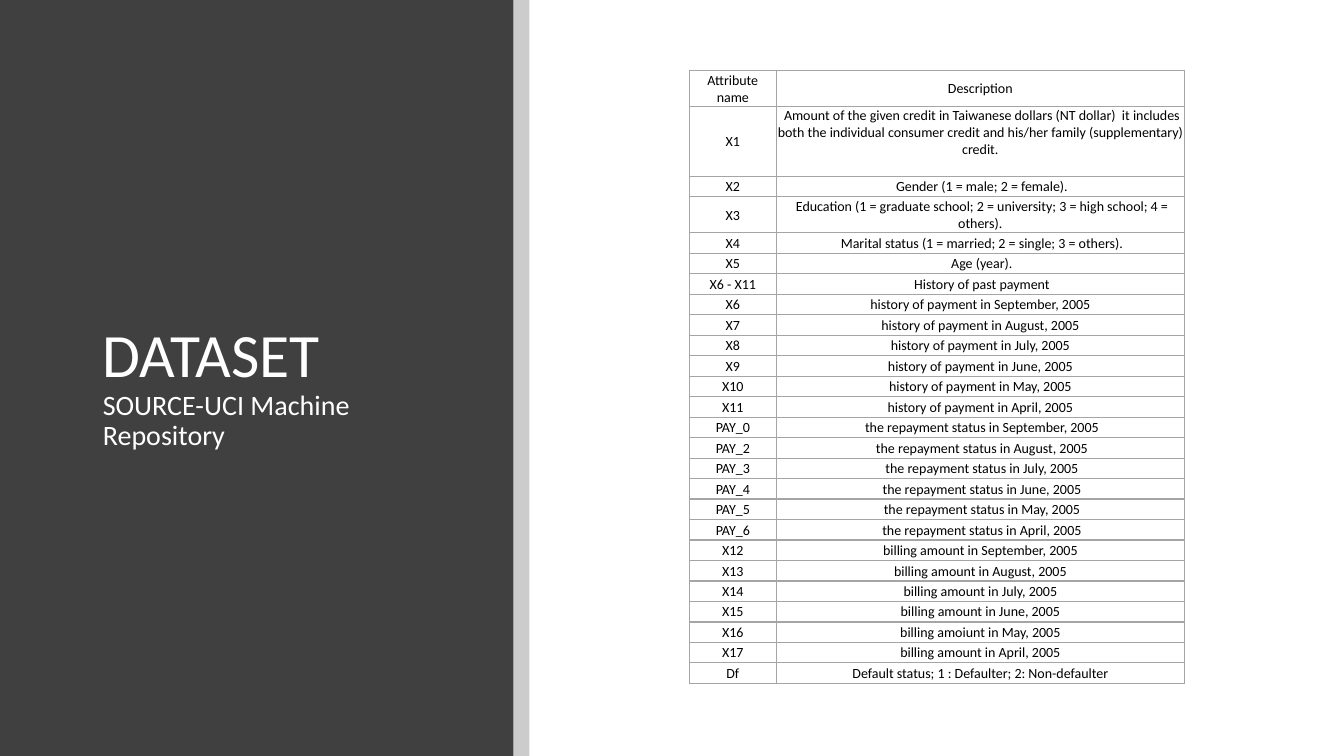
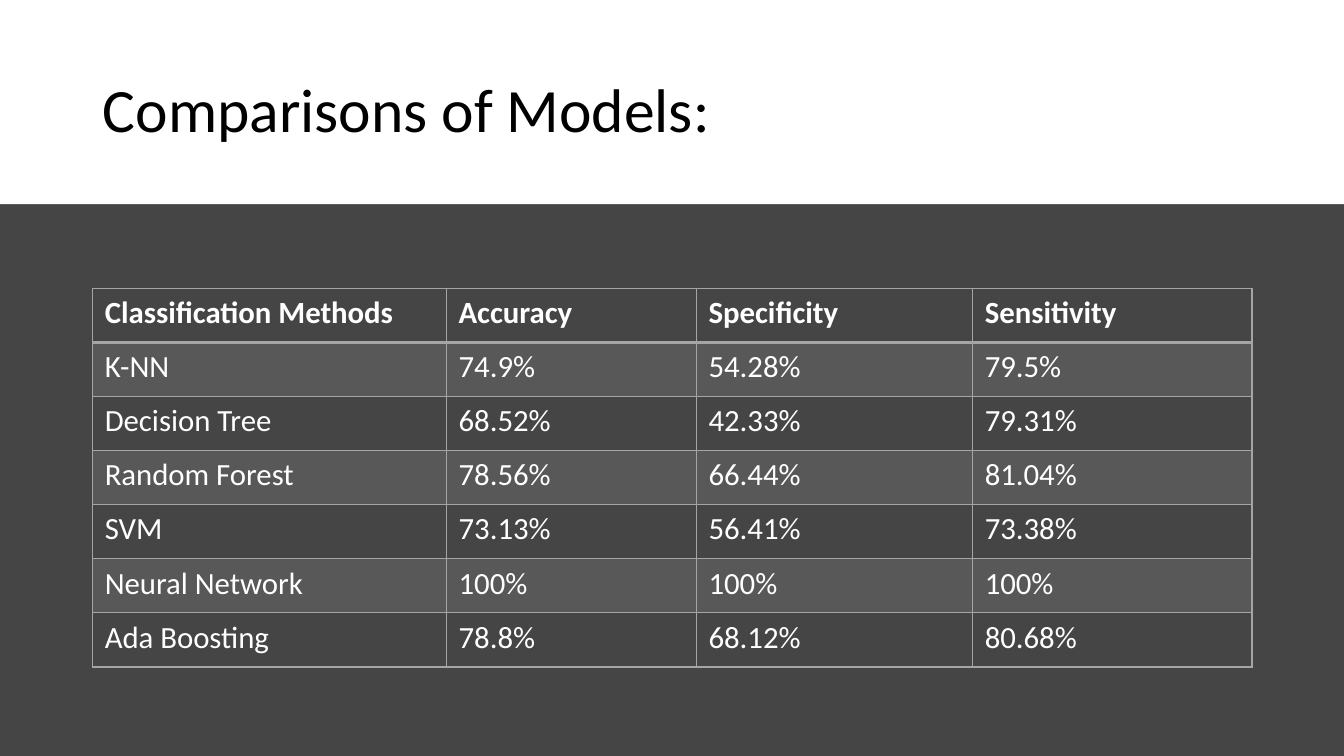
import pptx
import pptx.dml.color
import pptx.enum.shapes
import pptx.enum.text
import pptx.oxml
import pptx.oxml.ns
import pptx.util
from lxml import etree

FONT = "Calibri"
WHITE, BLACK, DARK, CHARCOAL, GREY = "FFFFFF", "000000", "404040", "454545", "A5A5A5"
MARGIN = 6.9  # percent of the slide's width
Anchor = pptx.enum.text.MSO_ANCHOR
Align = pptx.enum.text.PP_ALIGN
qn = pptx.oxml.ns.qn

presentation = pptx.Presentation()
presentation.slide_width = pptx.util.Inches(13.33)
presentation.slide_height = pptx.util.Inches(7.5)
SLIDE_WIDTH, SLIDE_HEIGHT = presentation.slide_width, presentation.slide_height


def paint(fill, colour, opacity=100):
    """Make a fill solid; opacity is in percent."""
    fill.solid()
    fill.fore_color.rgb = pptx.dml.color.RGBColor.from_string(colour)
    if opacity < 100:
        colour_element = fill._xPr.find(qn("a:solidFill") + "/" + qn("a:srgbClr"))
        etree.SubElement(colour_element, qn("a:alpha"), val=str(opacity * 1000))


def place(left, top, width, height):
    """Turn percentages of the slide into lengths."""
    return [pptx.util.Emu(int(share * whole / 100)) for share, whole in
            zip((left, top, width, height), (SLIDE_WIDTH, SLIDE_HEIGHT) * 2)]


months = ["September", "August", "July", "June", "May", "April"]
attributes = [
    ("Attribute name", "Description"),
    ("X1", " Amount of the given credit in Taiwanese dollars (NT dollar)  it includes "
           "both the individual consumer credit and his/her family (supplementary) credit."),
    ("X2", " Gender (1 = male; 2 = female)."),
    ("X3", " Education (1 = graduate school; 2 = university; 3 = high school; 4 = others)."),
    ("X4", " Marital status (1 = married; 2 = single; 3 = others)."),
    ("X5", " Age (year)."),
    ("X6 - X11", " History of past payment"),
    *[(f"X{number}", f"history of payment in {month}, 2005")
      for number, month in enumerate(months, start=6)],
    *[(f"PAY_{number}", f" the repayment status in {month}, 2005")
      for number, month in zip((0, 2, 3, 4, 5, 6), months)],
    ("X12", "billing amount in September, 2005"),
    ("X13", "billing amount in August, 2005"),
    ("X14", "billing amount in July, 2005"),
    ("X15", "billing amount in June, 2005"),
    ("X16", "billing amoiunt in May, 2005"),
    ("X17", "billing amount in April, 2005"),
    ("Df", "Default status; 1 : Defaulter; 2: Non-defaulter"),
]
models = [
    ("Classification Methods", "Accuracy", "Specificity", "Sensitivity"),
    ("K-NN", "74.9%", "54.28%", "79.5%"),
    ("Decision Tree", "68.52%", "42.33%", "79.31%"),
    ("Random Forest", "78.56%", "66.44%", "81.04%"),
    ("SVM", "73.13%", "56.41%", "73.38%"),
    ("Neural Network", "100%", "100%", "100%"),
    ("Ada Boosting", "78.8%", "68.12%", "80.68%"),
]

# Boxes, column widths and row heights are percentages of the slide.
slide_plans = [
    dict(background=WHITE,
         bands=[((0, 0, 38.2, 100), DARK, 100), ((38.2, 0, 1.2, 100), BLACK, 20)],
         title="DATASET\vSOURCE-UCI Machine Repository", title_sizes=(44, 20),
         title_box=(MARGIN, 11.9, 27.4, 78.8), title_colour=WHITE,
         rows=attributes, corner=(51.3, 9.3), columns=(6.45, 30.38),
         heights=[4.8, 9.2, 2.71, 4.8] + [2.71] * (len(attributes) - 4),
         insets=(0.01, 0.01, 0.01, 0), size=10, colour=BLACK, align=Align.CENTER,
         anchor=Anchor.MIDDLE, strong_header=False, top_cells=[(1, 1)]),
    dict(background=CHARCOAL,
         bands=[((0, 0, 100, 27), WHITE, 100)],
         title="Comparisons of Models:", title_sizes=(44,),
         title_box=(MARGIN, 5.3, 86.3, 19.3), title_colour=BLACK,
         rows=models, corner=(MARGIN, 38.13), columns=(26.33, 18.6, 20.55, 20.78),
         heights=[7.16] * len(models),
         insets=(0.12, 0.06, 0.12, 0.06), size=22, colour=WHITE, align=Align.LEFT,
         anchor=Anchor.TOP, strong_header=True, top_cells=[]),
]

for plan in slide_plans:
    slide = presentation.slides.add_slide(presentation.slide_layouts[5])
    paint(slide.background.fill, plan["background"])

    for box, colour, opacity in plan["bands"]:
        band = slide.shapes.add_shape(pptx.enum.shapes.MSO_SHAPE.RECTANGLE, *place(*box))
        band.shadow.inherit = False
        band.line.fill.background()
        paint(band.fill, colour, opacity)

    title = slide.shapes.title
    slide.shapes._spTree.append(title._element)  # in front of the bands
    title.left, title.top, title.width, title.height = place(*plan["title_box"])
    title.text_frame.text = plan["title"]
    title.text_frame.word_wrap = True
    title.text_frame.auto_size = pptx.enum.text.MSO_AUTO_SIZE.NONE
    title.text_frame.vertical_anchor = Anchor.MIDDLE
    paragraph = title.text_frame.paragraphs[0]
    paragraph.alignment = Align.LEFT
    paragraph.line_spacing = 0.9
    paragraph.font.name = FONT
    paint(paragraph.font.fill, plan["title_colour"])
    for run, size in zip(paragraph.runs, plan["title_sizes"]):
        run.font.size = pptx.util.Pt(size)

    rows, columns, heights = plan["rows"], plan["columns"], plan["heights"]
    frame = slide.shapes.add_table(
        len(rows), len(columns), *place(*plan["corner"], sum(columns), sum(heights)))
    table = frame.table
    table.horz_banding = False
    for column, share in zip(table.columns, columns):
        column.width = int(SLIDE_WIDTH * share / 100)
    for row, share in zip(table.rows, heights):
        row.height = int(SLIDE_HEIGHT * share / 100)

    for row_index, texts in enumerate(rows):
        for column_index, text in enumerate(texts):
            strong = plan["strong_header"]
            cell = table.cell(row_index, column_index)
            cell.text = text
            (cell.margin_left, cell.margin_top, cell.margin_right,
             cell.margin_bottom) = map(pptx.util.Inches, plan["insets"])
            on_top = (row_index, column_index) in plan["top_cells"]
            cell.vertical_anchor = Anchor.TOP if on_top else plan["anchor"]
            paragraph = cell.text_frame.paragraphs[0]
            paragraph.alignment = plan["align"]
            paragraph.font.name = FONT
            paragraph.font.size = pptx.util.Pt(plan["size"])
            paragraph.font.bold = strong and row_index == 0
            paint(paragraph.font.fill, plan["colour"])

            for side in "LRTB":
                under_header = strong and (row_index, side) in [(0, "B"), (1, "T")]
                width = pptx.util.Pt(2 if under_header else 1)
                border = etree.SubElement(
                    cell._tc.get_or_add_tcPr(), qn(f"a:ln{side}"), w=str(width))
                solid = etree.SubElement(border, qn("a:solidFill"))
                etree.SubElement(solid, qn("a:srgbClr"), val=GREY)
            if strong and row_index % 2:
                paint(cell.fill, GREY, 20)
            else:
                cell.fill.background()

presentation.save("out.pptx")
